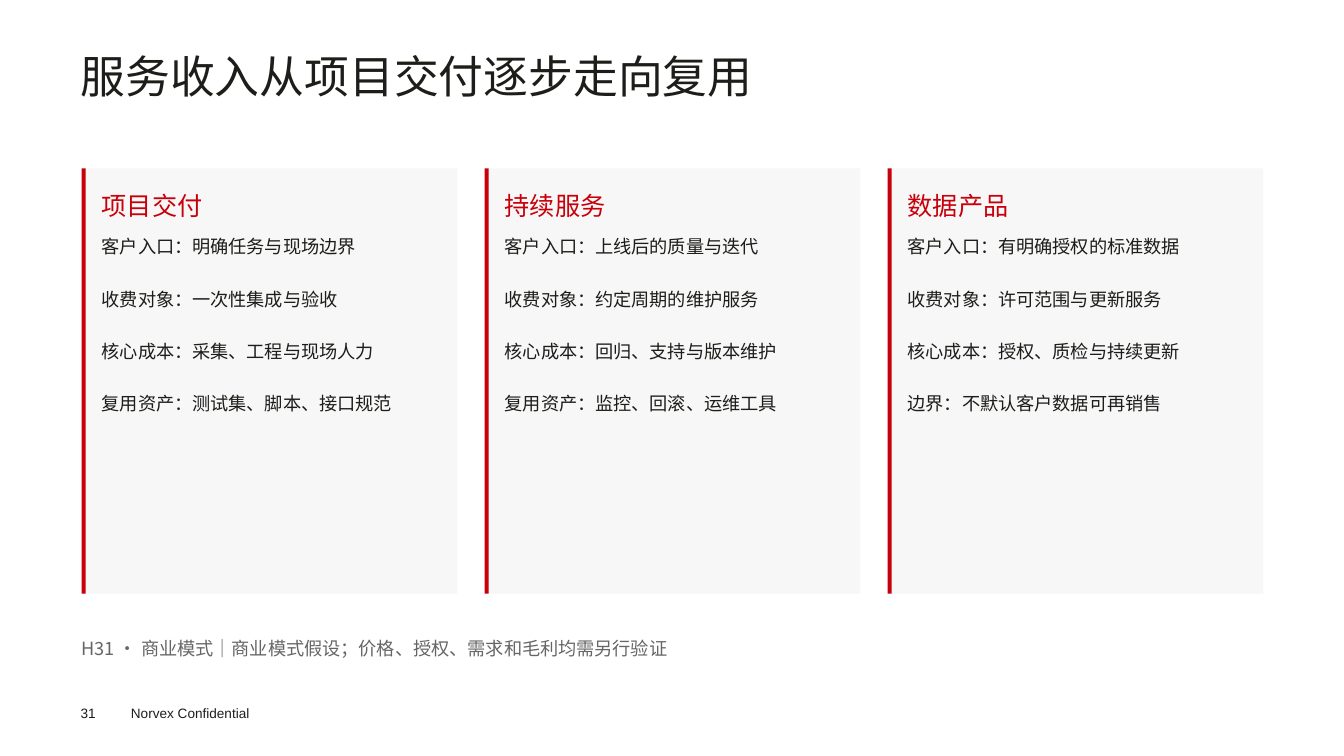
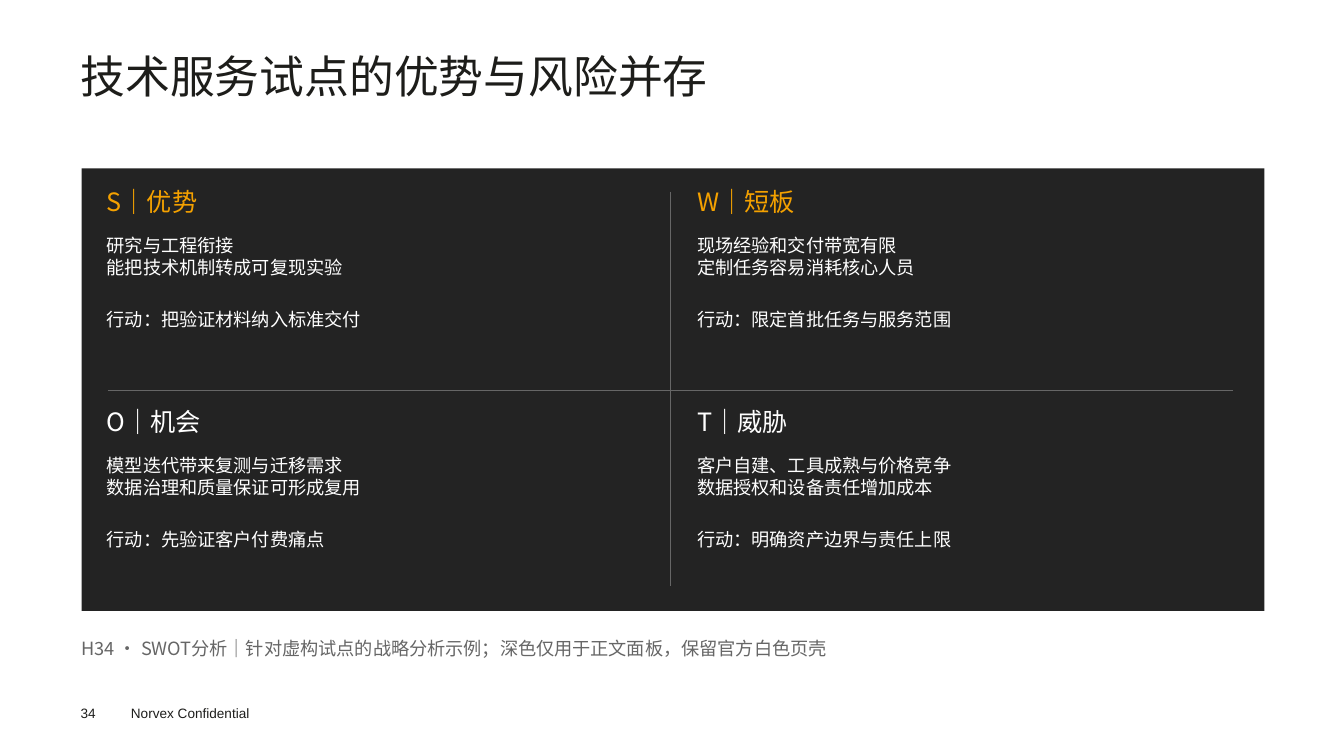
from dataclasses import dataclass
from lxml.etree import SubElement
from pptx import Presentation
from pptx.dml.color import RGBColor as Rgb
from pptx.enum.shapes import MSO_CONNECTOR as Link, MSO_SHAPE as Shape
from pptx.enum.text import MSO_ANCHOR as Anchor, MSO_AUTO_SIZE as Fit, PP_ALIGN as Align
from pptx.oxml.ns import qn
from pptx.slide import Slide
from pptx.text.text import TextFrame
from pptx.util import Inches, Pt

SANS = "Noto Sans CJK SC"
INK, RED, GOLD = "1D1D1A", "C7000A", "F4A100"
GRAY, PALE, DARK, WHITE = "666666", "F7F7F7", "232323", "FFFFFF"
LEFT, TOP, WIDE = 0.81, 1.67, 11.74
HEAD, BODY, GAP, RATIO = 18, 13, 21.7, 1.19

Groups = tuple[tuple[str, ...], ...]


@dataclass(frozen=True)
class Box:
    x: float
    y: float
    w: float
    h: float

    def place(self) -> tuple[Inches, Inches, Inches, Inches]:
        return Inches(self.x), Inches(self.y), Inches(self.w), Inches(self.h)


@dataclass(frozen=True)
class Style:
    size: float
    color: str
    font: str = SANS
    lead: float | None = None


@dataclass(frozen=True)
class Topic:
    head: str
    groups: Groups


def paint(color: str) -> Rgb:
    return Rgb.from_string(color)


def write(frame: TextFrame, groups: Groups, style: Style) -> None:
    frame.word_wrap = True
    frame.auto_size = Fit.NONE
    frame.vertical_anchor = Anchor.TOP
    frame.margin_left = frame.margin_right = 0
    frame.margin_top = frame.margin_bottom = 0
    frame.text = "\n".join(line for group in groups for line in group)
    gaps = [GAP if row and not spot else 0
            for row, group in enumerate(groups) for spot in range(len(group))]
    for para, gap in zip(frame.paragraphs, gaps):
        para.alignment = Align.LEFT
        para.space_before = Pt(gap)
        para.line_spacing = Pt(style.lead or round(style.size * RATIO, 1))
        for run in para.runs:
            run.font.size = Pt(style.size)
            run.font.name = style.font
            run.font.color.rgb = paint(style.color)
            east = SubElement(run.font._element, qn("a:ea"))
            east.set("typeface", style.font)


def label(page: Slide, box: Box, groups: Groups, style: Style) -> None:
    write(page.shapes.add_textbox(*box.place()).text_frame, groups, style)


def block(page: Slide, box: Box, color: str) -> None:
    shape = page.shapes.add_shape(Shape.RECTANGLE, *box.place())
    shape.shadow.inherit = False
    shape.fill.solid()
    shape.fill.fore_color.rgb = paint(color)
    shape.line.fill.background()


def rule(page: Slide, x: float, y: float, end: float, base: float) -> None:
    line = page.shapes.add_connector(
        Link.STRAIGHT, Inches(x), Inches(y), Inches(end), Inches(base))
    line.line.color.rgb = paint(GRAY)
    line.line.width = Pt(0.75)
    SubElement(line._element.spPr, qn("a:effectLst"))


def start(deck: Presentation, number: int, title: str, note: str) -> Slide:
    page = deck.slides.add_slide(deck.slide_layouts[5])
    head = page.shapes.title
    head.left, head.top, head.width, head.height = Box(0.8, 0.54, 11.75, 1.05).place()
    write(head.text_frame, ((title,),), Style(32, INK, lead=34.3))
    small = Style(9.7, "1D1D1B", "Arial")
    label(page, Box(0.8, 7, 0.4, 0.16), ((str(number),),), small)
    label(page, Box(1.3, 7, 1.6, 0.16), (("Norvex Confidential",),), small)
    label(page, Box(LEFT, 6.32, WIDE, 0.43), ((f"H{number} · {note}",),), Style(BODY, GRAY))
    return page


def cards(page: Slide, topics: list[Topic]) -> None:
    for col, topic in enumerate(topics):
        x = LEFT + 4 * col
        block(page, Box(x, TOP, 3.73, 4.22), PALE)
        block(page, Box(x, TOP, 0.04, 4.22), RED)
        label(page, Box(x + 0.2, 1.89, 3.32, 0.38), ((topic.head,),), Style(HEAD, RED))
        label(page, Box(x + 0.2, 2.34, 3.32, 3.39), topic.groups, Style(BODY, INK))


def matrix(page: Slide, topics: list[Topic]) -> None:
    block(page, Box(LEFT, TOP, WIDE, 4.39), DARK)
    for spot, topic in enumerate(topics):
        row, col = divmod(spot, 2)
        x, y = 1.06 + 5.86 * col, 1.85 + 2.18 * row
        tint = WHITE if row else GOLD
        label(page, Box(x, y, 5.31, 0.36), ((topic.head,),), Style(HEAD, tint))
        label(page, Box(x, y + 0.48, 5.31, 1.5), topic.groups, Style(BODY, WHITE))
    rule(page, 6.66, 1.9, 6.66, 5.81)
    rule(page, 1.07, 3.87, 12.24, 3.87)


MODELS = [
    Topic("项目交付", (("客户入口：明确任务与现场边界",), ("收费对象：一次性集成与验收",),
                   ("核心成本：采集、工程与现场人力",), ("复用资产：测试集、脚本、接口规范",))),
    Topic("持续服务", (("客户入口：上线后的质量与迭代",), ("收费对象：约定周期的维护服务",),
                   ("核心成本：回归、支持与版本维护",), ("复用资产：监控、回滚、运维工具",))),
    Topic("数据产品", (("客户入口：有明确授权的标准数据",), ("收费对象：许可范围与更新服务",),
                   ("核心成本：授权、质检与持续更新",), ("边界：不默认客户数据可再销售",))),
]
SWOT = [
    Topic("S｜优势", (("研究与工程衔接", "能把技术机制转成可复现实验"),
                  ("行动：把验证材料纳入标准交付",))),
    Topic("W｜短板", (("现场经验和交付带宽有限", "定制任务容易消耗核心人员"),
                  ("行动：限定首批任务与服务范围",))),
    Topic("O｜机会", (("模型迭代带来复测与迁移需求", "数据治理和质量保证可形成复用"),
                  ("行动：先验证客户付费痛点",))),
    Topic("T｜威胁", (("客户自建、工具成熟与价格竞争", "数据授权和设备责任增加成本"),
                  ("行动：明确资产边界与责任上限",))),
]


def main() -> None:
    deck = Presentation()
    deck.slide_width, deck.slide_height = Inches(13.34), Inches(7.5)
    cards(start(deck, 31, "服务收入从项目交付逐步走向复用",
                "商业模式｜商业模式假设；价格、授权、需求和毛利均需另行验证"), MODELS)
    matrix(start(deck, 34, "技术服务试点的优势与风险并存",
                 "SWOT分析｜针对虚构试点的战略分析示例；深色仅用于正文面板，保留官方白色页壳"), SWOT)
    deck.save("out.pptx")


if __name__ == "__main__":
    main()
